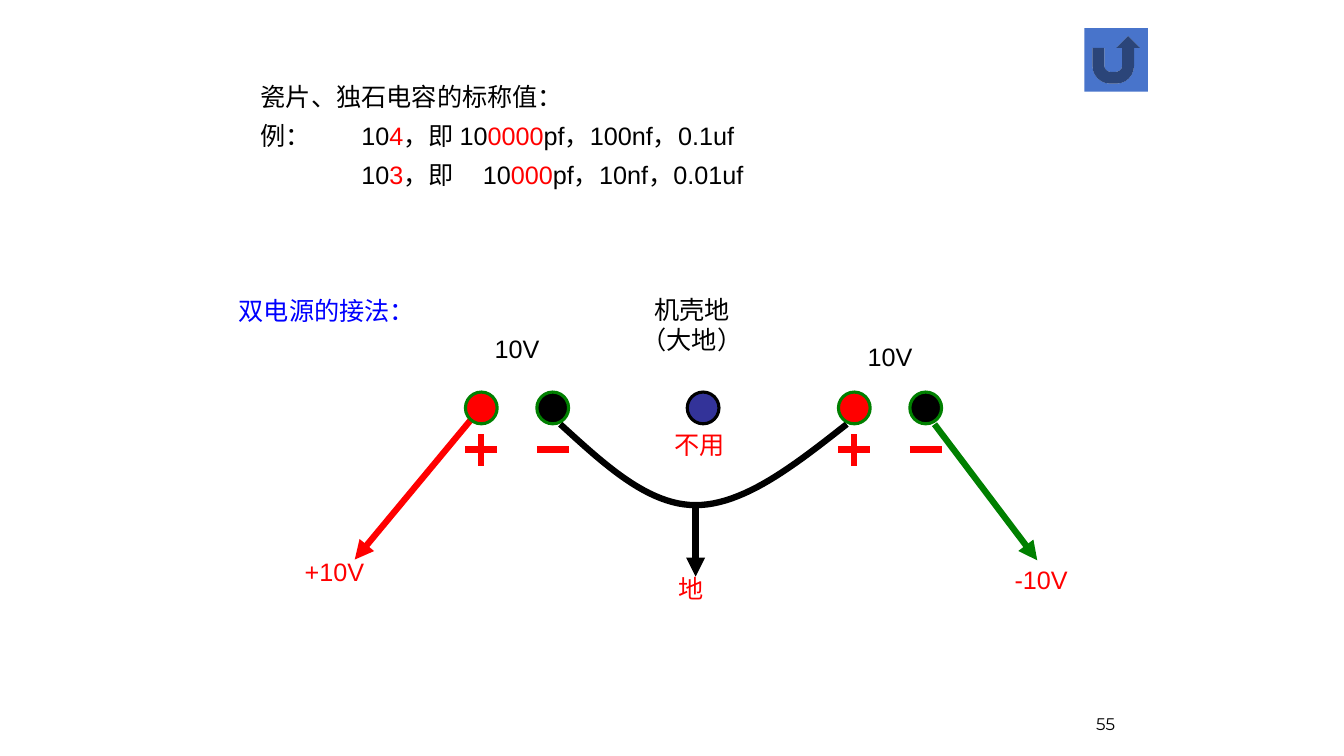
from lxml import etree
from pptx import Presentation
from pptx.dml.color import RGBColor
from pptx.enum.shapes import MSO_CONNECTOR, MSO_SHAPE
from pptx.enum.text import MSO_ANCHOR, PP_ALIGN
from pptx.oxml.ns import qn
from pptx.util import Cm, Pt

STRAIGHT = MSO_CONNECTOR.STRAIGHT
OVAL, RETURN = MSO_SHAPE.OVAL, MSO_SHAPE.ACTION_BUTTON_RETURN
LEFT, CENTER, RIGHT = PP_ALIGN.LEFT, PP_ALIGN.CENTER, PP_ALIGN.RIGHT
TOP, BOTTOM = MSO_ANCHOR.TOP, MSO_ANCHOR.BOTTOM
COLORS = {"black": "000000", "red": "FF0000", "green": "008000",
          "blue": "0000FF", "navy": "333399", "button": "4874CB"}
BODY = {"name": "Arial", "size": Pt(18)}
NUMBER = {"name": "Montserrat", "size": Pt(12)}
DOT = 0.8       # terminal diameter, cm
PITCH = 1.8     # distance between the terminals of one supply, cm
WIRE = 4.5      # points


def rgb(color):
    return RGBColor.from_string(COLORS[color])


def add_text(slide, box, paragraphs, align=CENTER, anchor=TOP, style=BODY):
    """Each paragraph is a list of (text, color) runs; returns the text frame."""
    tf = slide.shapes.add_textbox(*map(Cm, box)).text_frame
    tf.word_wrap = True
    tf.vertical_anchor = anchor
    for i, runs in enumerate(paragraphs):
        p = tf.paragraphs[0] if i == 0 else tf.add_paragraph()
        p.alignment = align
        if i:
            p.space_before = Pt(6)
        for text, color in runs:
            for j, line in enumerate(text.split("\n")):
                if j:
                    p.add_line_break()
                r = p.add_run()
                r.text = line
                for name, value in style.items():
                    setattr(r.font, name, value)
                r.font.color.rgb = rgb(color)
    return tf


def add_label(slide, cx, y, text, color, w=3.8):
    add_text(slide, (cx - w / 2, y, w, 1.02), [[(text, color)]])


def add_wire(slide, x1, y1, x2, y2, color, arrow=False):
    line = slide.shapes.add_connector(STRAIGHT, *map(Cm, (x1, y1, x2, y2)))
    line.line.color.rgb = rgb(color)
    line.line.width = Pt(WIRE)
    if arrow:
        etree.SubElement(line.line._get_or_add_ln(), qn("a:tailEnd"), type="triangle")
    etree.SubElement(line._element.spPr, qn("a:effectLst"))


def add_terminal(slide, x, y, fill, outline):
    sp = slide.shapes.add_shape(OVAL, Cm(x), Cm(y), Cm(DOT), Cm(DOT))
    sp.shadow.inherit = False
    sp.fill.solid()
    sp.fill.fore_color.rgb = rgb(fill)
    sp.line.color.rgb = rgb(outline)
    sp.line.width = Pt(2.25)


def bezier(p0, p1, p2, p3, steps=24):
    for i in range(1, steps + 1):
        t = i / steps
        weights = ((1 - t) ** 3, 3 * t * (1 - t) ** 2, 3 * t * t * (1 - t), t ** 3)
        yield tuple(sum(w * p[k] for w, p in zip(weights, (p0, p1, p2, p3)))
                    for k in (0, 1))


def add_joining_wire(slide, x, y):
    """Curve from the right plus terminal to the left minus terminal."""
    knots = [(9.61, 0.81), (8.31, 1.83), (7.02, 2.85), (5.8, 2.85),
             (4.6, 2.85), (3.51, 1.83), (2.39, 0.81)]
    knots = [(Cm(x + dx), Cm(y + dy)) for dx, dy in knots]
    builder = slide.shapes.build_freeform(*knots[0])
    points = [*bezier(*knots[:4]), *bezier(*knots[3:])]
    builder.add_line_segments(points, close=False)
    sp = builder.convert_to_shape()
    sp.shadow.inherit = False
    sp.fill.background()
    sp.line.color.rgb = rgb("black")
    sp.line.width = Pt(WIRE)


def add_supply(slide, x, y, label_y):
    mid, sign_y = x + DOT / 2, y + 1.45
    add_terminal(slide, x, y, "red", "green")
    add_terminal(slide, x + PITCH, y, "black", "green")
    for left in (x, x + PITCH):
        add_wire(slide, left, sign_y, left + DOT, sign_y, "red")
    add_wire(slide, mid, sign_y + DOT / 2, mid, sign_y - DOT / 2, "red")
    add_label(slide, x + (PITCH + DOT) / 2, label_y, "10V", "black")


def add_dual_supply(slide, x, y):
    """Wiring diagram; (x, y) is the corner of the leftmost terminal."""
    add_label(slide, x - 3.49, y - 2.56, "双电源的接法：", "blue", 5)
    add_joining_wire(slide, x, y)
    for x1, y1, x2, y2, color in ((11.82, 0.81, 14.41, 4.24, "green"),
                                  (0.21, 0.61, -2.79, 4.22, "red"),
                                  (5.8, 2.85, 5.8, 4.65, "black")):
        add_wire(slide, x + x1, y + y1, x + x2, y + y2, color, arrow=True)
    add_supply(slide, x, y, y - 1.6)
    add_supply(slide, x + 9.4, y, y - 1.4)
    add_terminal(slide, x + 5.59, y, "navy", "black")
    add_label(slide, x + 5.71, y - 2.59, "机壳地\n（大地）", "black", 5)
    for dx, dy, text in ((5.9, 0.81, "不用"), (-3.3, 4.01, "+10V"),
                         (5.69, 4.45, "地"), (14.51, 4.22, "-10V")):
        add_label(slide, x + dx, y + dy, text, "red")


def add_capacitor_values(slide, box):
    tf = add_text(slide, box, [
        [("瓷片、独石电容的标称值：", "black")],
        [("例：\t10", "black"), ("4", "red"), ("，即 10", "black"),
         ("0000", "red"), ("pf，100nf，0.1uf", "black")],
        [("\t10", "black"), ("3", "red"), ("，即\t10", "black"),
         ("000", "red"), ("pf，10nf，0.01uf", "black")],
    ], LEFT)
    for p in tf.paragraphs[1:]:
        tabs = etree.SubElement(p._p.get_or_add_pPr(), qn("a:tabLst"))
        for stop in (2.54, 5.6):
            etree.SubElement(tabs, qn("a:tab"), pos=str(Cm(stop)), algn="l")


def add_return_button(slide, x, y, size):
    sp = slide.shapes.add_shape(RETURN, Cm(x), Cm(y), Cm(size), Cm(size))
    sp.shadow.inherit = False
    sp.fill.solid()
    sp.fill.fore_color.rgb = rgb("button")
    sp.line.fill.background()


def main():
    prs = Presentation()
    prs.slide_width, prs.slide_height = Cm(33.87), Cm(19.05)
    slide = prs.slides.add_slide(prs.slide_layouts[6])
    add_capacitor_values(slide, (6.32, 1.93, 20, 3))
    add_dual_supply(slide, 11.73, 9.88)
    add_return_button(slide, 27.33, 0.71, 1.6)
    add_text(slide, (22.43, 17.35, 5.92, 1.27), [[("55", "black")]],
             RIGHT, BOTTOM, NUMBER)
    prs.save("out.pptx")


if __name__ == "__main__":
    main()
